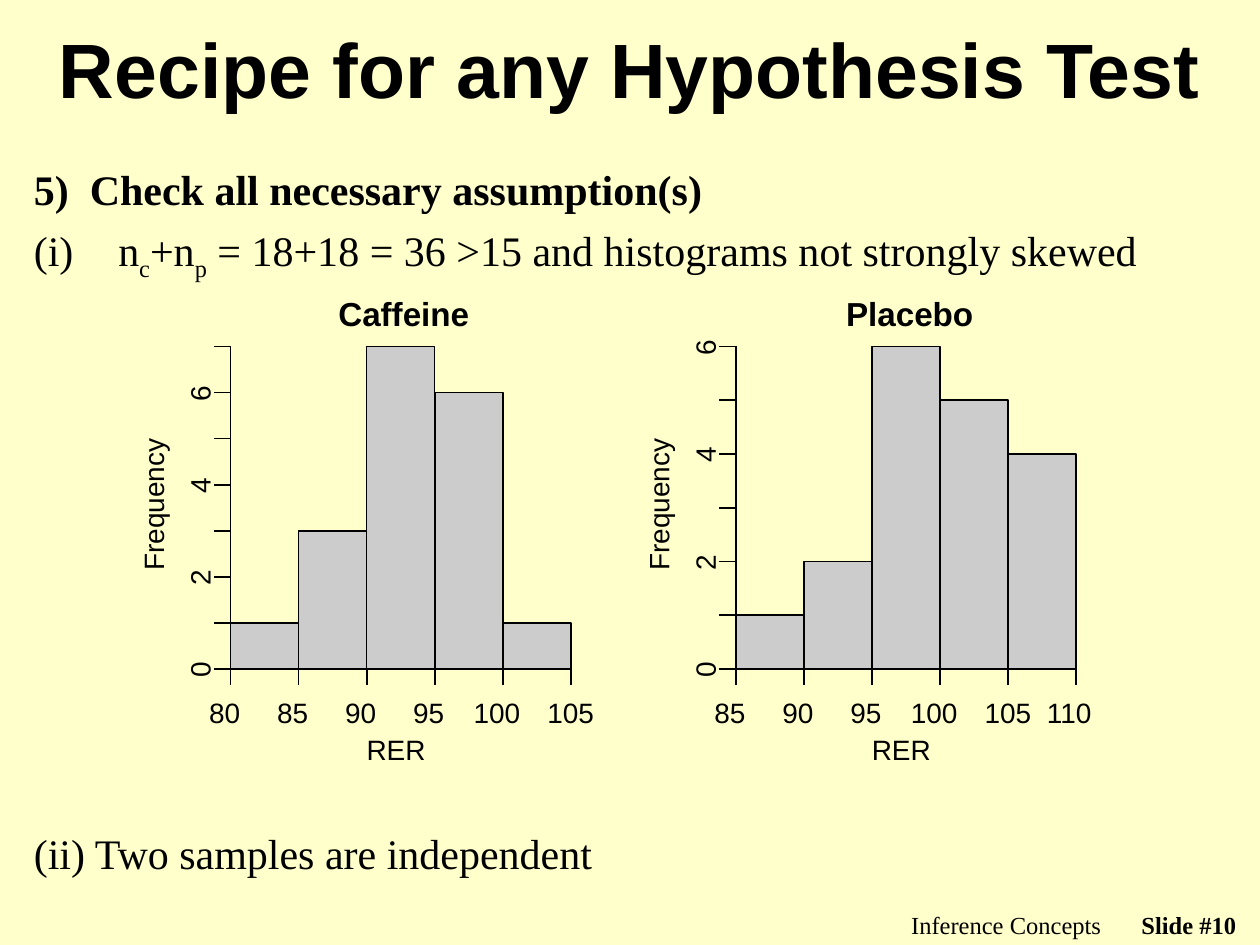
from dataclasses import dataclass
from lxml.etree import SubElement
from pptx import Presentation
from pptx.dml.color import RGBColor
from pptx.enum.shapes import MSO_CONNECTOR, MSO_SHAPE
from pptx.enum.text import MSO_ANCHOR, MSO_AUTO_SIZE, PP_ALIGN
from pptx.oxml.ns import qn
from pptx.slide import Slide
from pptx.util import Inches, Pt

COLORS = {"page": "FFFFCC", "ink": "000000", "bar": "CCCCCC"}
LABEL_WIDTHS = {"105": 0.37, "100": 0.46, "110": 0.46}
TOP, BASE, BIN_WIDTH, TICK = 2.75, 5.31, 0.54, 0.13


@dataclass
class HypothesisPage:
    """Draws the elements of the hypothesis test slide in one shared style."""

    page: Slide
    heading_font: str = "Arial"
    body_font: str = "Times New Roman"

    def color(self, name):
        return RGBColor.from_string(COLORS[name])

    def background(self):
        fill = self.page.background.fill
        fill.solid()
        fill.fore_color.rgb = self.color("page")

    def style(self, paragraph, size, font, bold=False, align=PP_ALIGN.LEFT):
        paragraph.alignment = align
        paragraph.font.size = Pt(size)
        paragraph.font.name = font
        paragraph.font.bold = bold
        paragraph.font.color.rgb = self.color("ink")

    def text(self, content, left, top, width, height, size, font, bold=False,
             align=PP_ALIGN.LEFT, anchor=MSO_ANCHOR.TOP):
        box = self.page.shapes.add_textbox(
            Inches(left), Inches(top), Inches(width), Inches(height))
        frame = box.text_frame
        frame.word_wrap = True
        frame.vertical_anchor = anchor
        paragraph = frame.paragraphs[0]
        paragraph.text = content
        self.style(paragraph, size, font, bold, align)
        return box

    def label(self, content, center_x, center_y, width, height=0.28,
              size=16, bold=False, rotation=0):
        box = self.text(content, center_x - width / 2, center_y - height / 2,
                        width, height, size, self.heading_font, bold)
        box.rotation = rotation
        frame = box.text_frame
        frame.margin_left = frame.margin_right = 0
        frame.margin_top = frame.margin_bottom = 0
        frame.word_wrap = False
        frame.auto_size = MSO_AUTO_SIZE.SHAPE_TO_FIT_TEXT

    def line(self, start_x, start_y, end_x, end_y):
        line = self.page.shapes.add_connector(
            MSO_CONNECTOR.STRAIGHT, Inches(start_x), Inches(start_y),
            Inches(end_x), Inches(end_y))
        line.line.color.rgb = self.color("ink")
        line.line.width = Pt(1)
        SubElement(line._element.spPr, qn("a:effectLst"))

    def bar(self, left, top, width, height):
        bar = self.page.shapes.add_shape(
            MSO_SHAPE.RECTANGLE, Inches(left), Inches(top),
            Inches(width), Inches(height))
        bar.shadow.inherit = False
        bar.fill.solid()
        bar.fill.fore_color.rgb = self.color("bar")
        bar.line.color.rgb = self.color("ink")
        bar.line.width = Pt(1)

    def steps(self):
        box = self.text("5)  Check all necessary assumption(s)",
                        0.17, 1.25, 9.58, 5.75, 24, self.body_font, True)
        frame = box.text_frame
        condition = frame.add_paragraph()
        properties = condition._p.get_or_add_pPr()
        properties.set("marL", str(Inches(0.67)))
        properties.set("indent", str(-Inches(0.67)))
        SubElement(properties, qn("a:buAutoNum"), type="romanLcParenBoth")
        condition.space_before = Pt(6)
        self.style(condition, 24, self.body_font)
        for content, lowered in (
                ("n", False), ("c", True), ("+n", False), ("p", True),
                (" = 18+18 = 36 >15 and histograms not strongly skewed", False)):
            span = condition.add_run()
            span.text = content
            if lowered:
                span.font._element.set("baseline", "-25000")
        independence = frame.add_paragraph()
        independence.text = "(ii) Two samples are independent"
        independence.space_before = Pt(312)
        self.style(independence, 24, self.body_font)

    def histogram(self, title, title_width, left, first_edge, counts):
        unit = (BASE - TOP) / max(counts)
        right = left + BIN_WIDTH * len(counts)
        self.label(title, left + 1.45, 2.52, title_width, 0.39, 19, True)
        self.label("RER", left + 1.35, 5.95, 0.54)
        self.label("Frequency", left - 0.61, 3.99, 1.08, rotation=270)
        self.line(left, BASE, right, BASE)
        for index in range(len(counts) + 1):
            x = left + index * BIN_WIDTH
            edge = str(first_edge + 5 * index)
            self.line(x, BASE, x, BASE + TICK)
            self.label(edge, x, 5.66, LABEL_WIDTHS.get(edge, 0.34))
        self.line(left, BASE, left, TOP)
        for value in range(max(counts) + 1):
            y = BASE - value * unit
            self.line(left, y, left - TICK, y)
            if value % 2 == 0:
                self.label(str(value), left - 0.24, y - 0.04, 0.22, rotation=270)
        for index, count in enumerate(counts):
            self.bar(left + index * BIN_WIDTH, BASE - count * unit,
                     BIN_WIDTH, count * unit)


def main():
    deck = Presentation()
    deck.slide_width, deck.slide_height = Inches(10), Inches(7.5)
    sheet = HypothesisPage(deck.slides.add_slide(deck.slide_layouts[6]))
    sheet.background()
    sheet.text("Inference Concepts", 5.67, 7.17, 3.17, 0.25, 14,
               sheet.body_font, align=PP_ALIGN.RIGHT)
    sheet.text("Slide #10", 8.83, 7.17, 1.08, 0.17, 14,
               sheet.body_font, True, PP_ALIGN.RIGHT)
    sheet.text("Recipe for any Hypothesis Test", 0.25, 0.08, 9.5, 0.92, 44,
               sheet.heading_font, True, PP_ALIGN.CENTER, MSO_ANCHOR.MIDDLE)
    sheet.steps()
    sheet.histogram("Caffeine", 1.19, 1.83, 80, (1, 3, 7, 6, 1))
    sheet.histogram("Placebo", 1.15, 5.84, 85, (1, 2, 6, 5, 4))
    deck.save("out.pptx")


if __name__ == "__main__":
    main()
